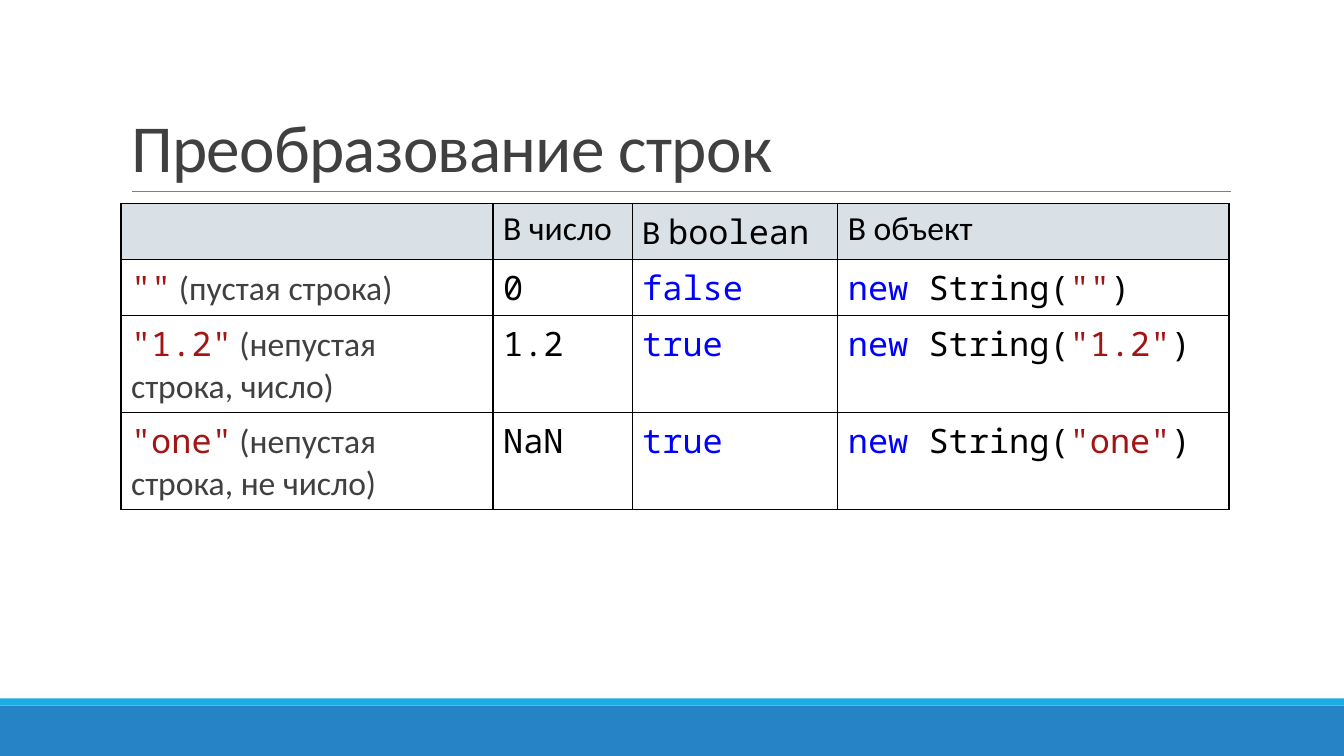
from pptx import Presentation
from pptx.dml.color import RGBColor
from pptx.enum import shapes, text
from pptx.oxml import parse_xml
from pptx.oxml.ns import nsdecls
from pptx.util import Inches, Pt

SANS, MONO = "Calibri", "Noto Sans Mono"
BLACK, GREY, RED, BLUE = "000000", "404040", "A31515", "0000FF"


def color(code):
    return RGBColor.from_string(code)


class Deck:
    def __init__(self):
        self.prs = Presentation()
        self.prs.slide_width = Inches(13.33)
        self.prs.slide_height = Inches(7.5)
        self.slide = self.prs.slides.add_slide(self.prs.slide_layouts[5])

    def label(self, par, words, font, ink, size=24):
        run = par.add_run()
        run.text = words
        style = {"name": font, "size": Pt(size), "bold": False}
        for key, value in style.items():
            setattr(run.font, key, value)
        run.font.color.rgb = color(ink)
        return run

    def title(self, words, *box):
        shape = self.slide.shapes.title
        for key, value in zip(("left", "top", "width", "height"), box):
            setattr(shape, key, Inches(value))
        frame = shape.text_frame
        style = {"word_wrap": True, "auto_size": text.MSO_AUTO_SIZE.NONE,
                 "vertical_anchor": text.MSO_ANCHOR.BOTTOM}
        for key, value in style.items():
            setattr(frame, key, value)
        par = frame.paragraphs[0]
        par.alignment = text.PP_ALIGN.LEFT
        par.line_spacing = 0.85
        run = self.label(par, words, SANS, GREY, 48)
        run.font._element.set("spc", "-50")

    def band(self, top, height, fill):
        shape = self.slide.shapes.add_shape(
            shapes.MSO_SHAPE.RECTANGLE, 0, Inches(top),
            self.prs.slide_width, Inches(height))
        shape.shadow.inherit = False
        shape.fill.solid()
        shape.fill.fore_color.rgb = color(fill)
        shape.line.fill.background()

    def rule(self, left, right, top):
        line = self.slide.shapes.add_connector(
            shapes.MSO_CONNECTOR.STRAIGHT, Inches(left), Inches(top),
            Inches(right), Inches(top))
        line.line.color.rgb = color("808080")
        line.line.width = Pt(0.5)
        line._element.spPr.append(
            parse_xml(f"<a:effectLst {nsdecls('a')}/>"))

    def border(self, cell):
        """Draw a black 1 pt line on each side of the cell."""
        props = cell._tc.get_or_add_tcPr()
        for spot, side in enumerate("LRTB"):
            props.insert(spot, parse_xml(
                f'<a:ln{side} {nsdecls("a")} w="12700"><a:solidFill>'
                f'<a:srgbClr val="{BLACK}"/></a:solidFill></a:ln{side}>'))

    def table(self, left, top, cols, rows, data):
        grid = self.slide.shapes.add_table(
            len(rows), len(cols), Inches(left), Inches(top),
            Inches(sum(cols)), Inches(sum(rows))).table
        grid.first_row = grid.horz_banding = False
        for col, width in zip(grid.columns, cols):
            col.width = Inches(width)
        for row, height in zip(grid.rows, rows):
            row.height = Inches(height)
        for r, line in enumerate(data):
            for c, runs in enumerate(line):
                cell = grid.cell(r, c)
                cell.fill.solid()
                cell.fill.fore_color.rgb = color("FFFFFF" if r else "D9E0E6")
                self.border(cell)
                for run in runs:
                    self.label(cell.text_frame.paragraphs[0], *run)


def entry(value, note, number, truth):
    """Give the cells of one row: the string and its three conversions."""
    return [
        [(value, MONO, RED), (" ", SANS, BLACK), (note, SANS, GREY)],
        [(number, MONO, BLACK)],
        [(truth, MONO, BLUE)],
        [("new ", MONO, BLUE), ("String(", MONO, BLACK),
         (value, MONO, RED), (")", MONO, BLACK)],
    ]


def main():
    deck = Deck()
    deck.band(7, 0.5, "2683C6")
    deck.band(6.93, 0.07, "1CADE4")
    deck.rule(1.31, 12.21, 1.9)
    deck.title("Преобразование строк", 1.2, 0.31, 11, 1.59)
    head = [
        [],
        [("В число", SANS, BLACK)],
        [("В ", SANS, BLACK), ("boolean", MONO, BLACK)],
        [("В объект", SANS, BLACK)],
    ]
    deck.table(1.2, 2.02, [3.69, 1.38, 2.04, 3.88], [0.55, 0.55, 0.96, 0.96], [
        head,
        entry('""', "(пустая строка)", "0", "false"),
        entry('"1.2"', "(непустая строка, число)", "1.2", "true"),
        entry('"one"', "(непустая строка, не число)", "NaN", "true"),
    ])
    deck.prs.save("out.pptx")


if __name__ == "__main__":
    main()
